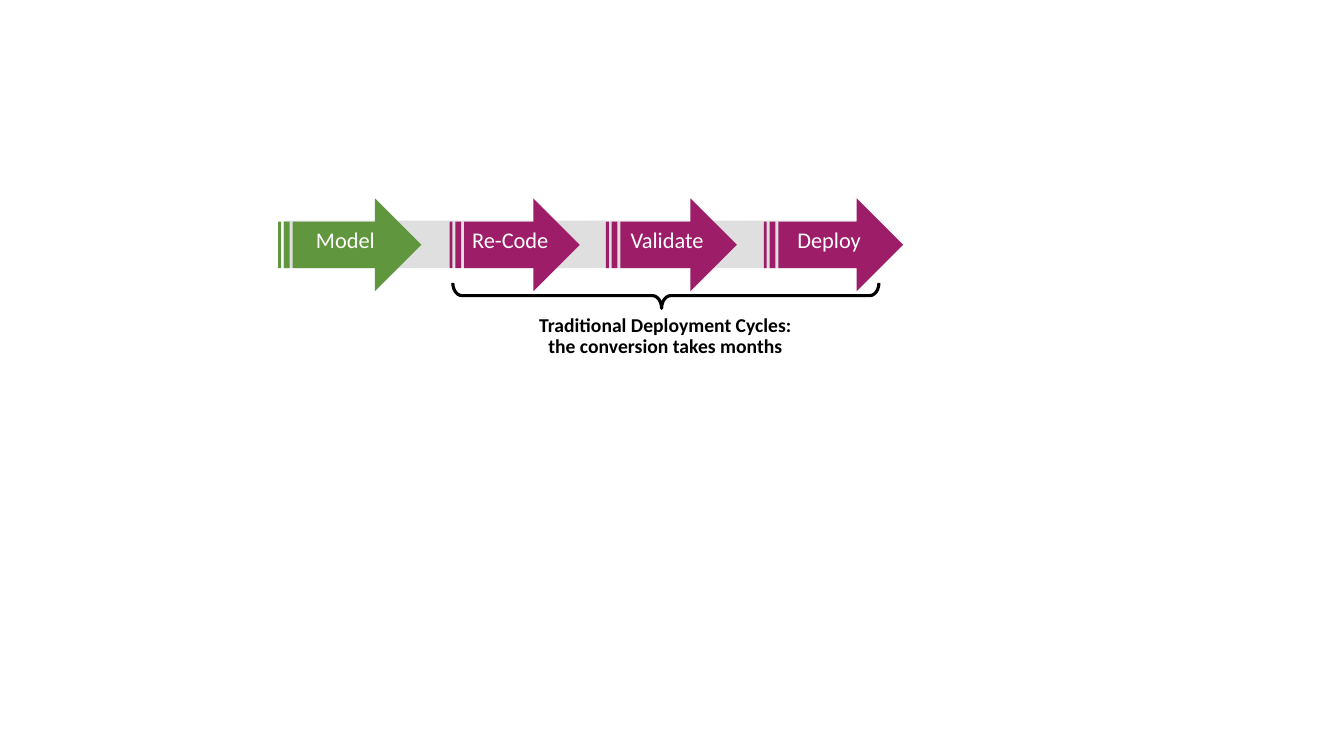
from lxml import etree
from pptx import Presentation
from pptx.dml.color import RGBColor
from pptx.enum.shapes import MSO_SHAPE
from pptx.enum.text import MSO_ANCHOR, PP_ALIGN
from pptx.oxml.ns import qn
from pptx.util import Cm, Pt

RECT = MSO_SHAPE.RECTANGLE
ARROW = MSO_SHAPE.STRIPED_RIGHT_ARROW
BRACE = MSO_SHAPE.RIGHT_BRACE
MIDDLE, TOP = MSO_ANCHOR.MIDDLE, MSO_ANCHOR.TOP
CENTER = PP_ALIGN.CENTER

GREEN = RGBColor(0x60, 0x96, 0x3D)
PURPLE = RGBColor(0x9D, 0x1D, 0x69)
GRAY = RGBColor(0xBF, 0xBF, 0xBF)
BLACK = RGBColor(0, 0, 0)
WHITE = RGBColor(0xFF, 0xFF, 0xFF)

STAGES = [
    ("Model", 7.01, 3.61, GREEN),
    ("Re-Code", 11.33, 3.28, PURPLE),
    ("Validate", 15.27, 3.3, PURPLE),
    ("Deploy", 19.25, 3.51, PURPLE),
]
STAGE_FONT = {"name": "Calibri", "size": Pt(16), "bold": False}
CAPTION_FONT = {"name": "Calibri", "size": Pt(14), "bold": True}
STAGE_FRAME = {
    "margin_left": 0, "margin_top": Cm(0.25), "margin_right": 0,
    "margin_bottom": Cm(0.41), "vertical_anchor": MIDDLE, "word_wrap": True,
}
CAPTION_FRAME = {
    "margin_left": Cm(0.51), "margin_top": Cm(0.41), "margin_right": Cm(0.51),
    "margin_bottom": Cm(0.41), "vertical_anchor": TOP, "word_wrap": True,
}


def set_format(obj, values):
    """Set each attribute of obj from a dict of values."""
    for name, value in values.items():
        setattr(obj, name, value)


def write_text(sp, text, frame, font, color):
    """Write one centred paragraph into a shape."""
    tf = sp.text_frame
    set_format(tf, frame)
    p = tf.paragraphs[0]
    p.text = text
    set_format(p, {"alignment": CENTER, "line_spacing": 0.9})
    for r in p.runs:
        set_format(r.font, font)
        r.font.color.rgb = color


def add_filled(s, kind, box, color, opacity=100):
    """Add a borderless filled shape."""
    sp = s.shapes.add_shape(kind, *map(Cm, box))
    sp.shadow.inherit = False
    sp.line.fill.background()
    sp.fill.solid()
    sp.fill.fore_color.rgb = color
    if opacity < 100:
        clr = sp.fill._xPr.find(qn("a:solidFill"))[0]
        etree.SubElement(clr, qn("a:alpha"), val=str(opacity * 1000))
    return sp


def add_stage(s, label, left, width, color):
    """Add one labelled striped arrow."""
    sp = add_filled(s, ARROW, (left, 5, width, 2.34), color)
    write_text(sp, label, STAGE_FRAME, STAGE_FONT, WHITE)


def add_brace(s, box):
    """Add a brace that points down."""
    sp = s.shapes.add_shape(BRACE, *map(Cm, box))
    sp.shadow.inherit = False
    sp.rotation = 90
    sp.adjustments[0] = 0.36
    sp.adjustments[1] = 0.51
    sp.fill.background()
    sp.line.color.rgb = BLACK
    sp.line.width = Pt(2.25)


def add_caption(s, text, box):
    """Add the bold caption under the brace."""
    sp = s.shapes.add_textbox(*map(Cm, box))
    write_text(sp, text, CAPTION_FRAME, CAPTION_FONT, BLACK)
    sp.text_frame.paragraphs[0].space_after = Pt(5.9)


def main():
    """Build the deployment cycle slide."""
    prs = Presentation()
    prs.slide_width, prs.slide_height = Cm(33.87), Cm(19.05)
    s = prs.slides.add_slide(prs.slide_layouts[6])
    add_filled(s, RECT, (7.14, 5.56, 14.6, 1.2), GRAY, 49)
    for stage in STAGES:
        add_stage(s, *stage)
    add_brace(s, (16.46, 2.08, 0.64, 10.74))
    add_caption(s, "Traditional Deployment Cycles:\vthe conversion takes months",
                (11.4, 7.54, 10.74, 1.88))
    prs.save("out.pptx")


if __name__ == "__main__":
    main()
